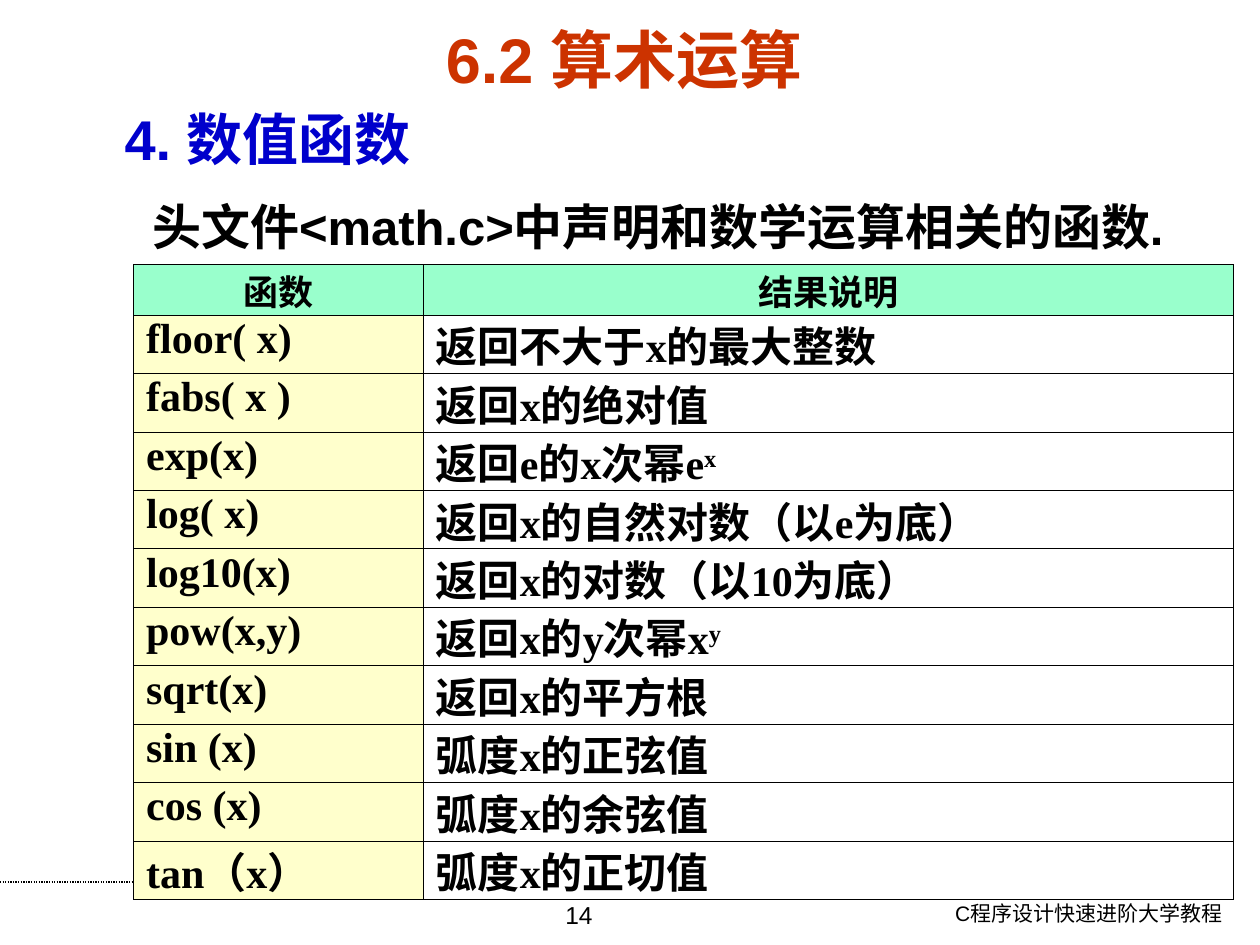
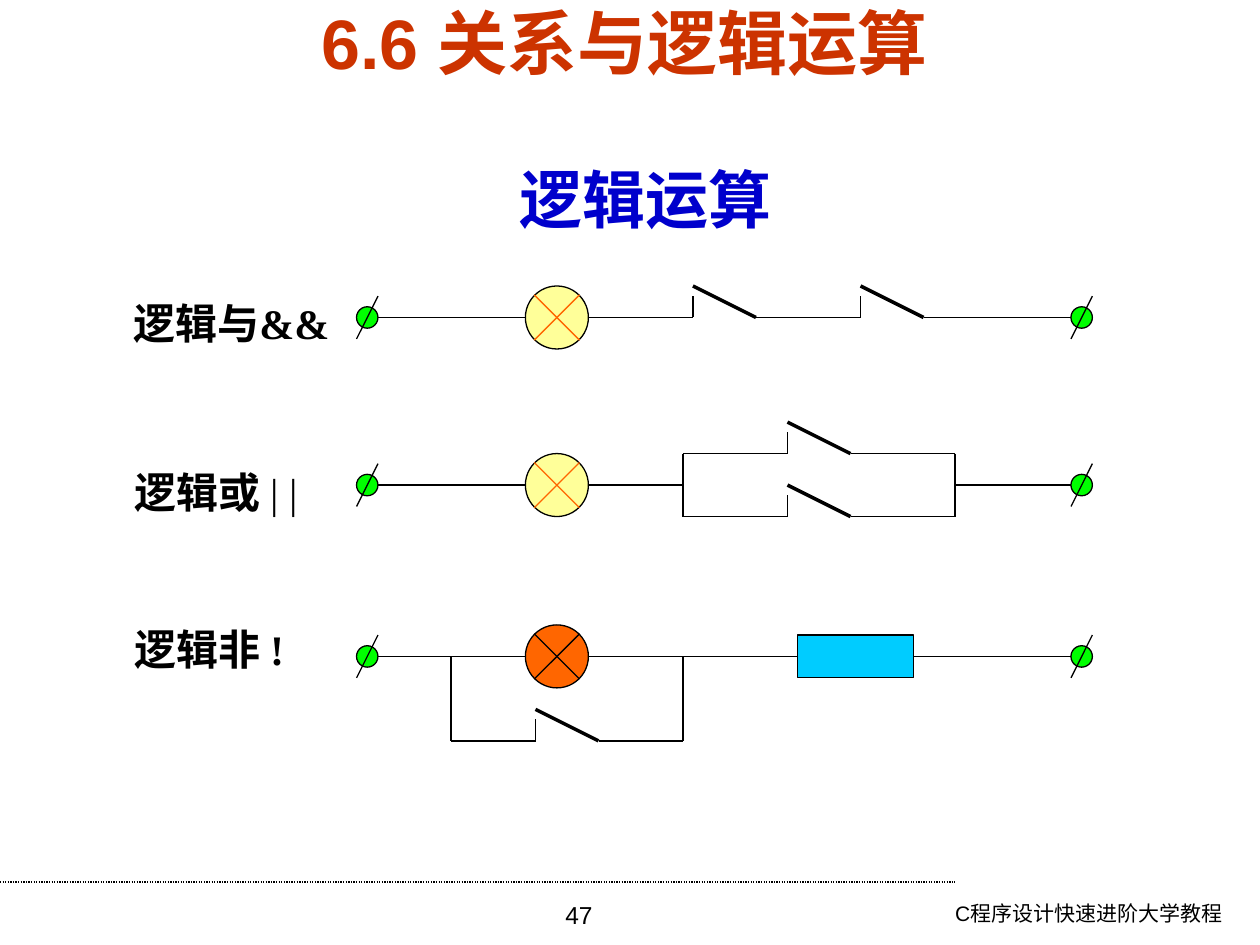
from dataclasses import dataclass

from lxml import etree
from pptx import Presentation
from pptx.dml.color import RGBColor
from pptx.enum.dml import MSO_LINE
from pptx.enum.shapes import MSO_CONNECTOR, MSO_SHAPE
from pptx.enum.text import MSO_ANCHOR, MSO_AUTO_SIZE, PP_ALIGN
from pptx.oxml.ns import qn
from pptx.util import Inches, Pt

STRAIGHT = MSO_CONNECTOR.STRAIGHT
OVAL, RECT = MSO_SHAPE.OVAL, MSO_SHAPE.RECTANGLE
TOP, MIDDLE, BOTTOM = MSO_ANCHOR.TOP, MSO_ANCHOR.MIDDLE, MSO_ANCHOR.BOTTOM
LEFT, CENTER, RIGHT = PP_ALIGN.LEFT, PP_ALIGN.CENTER, PP_ALIGN.RIGHT
SIDE_LEFT, SIDE_RIGHT = 1, 3


@dataclass(frozen=True)
class Theme:
    sans: str = "Arial"
    serif: str = "Times New Roman"
    title: str = "CC3300"
    heading: str = "0000CC"
    ink: str = "000000"
    paper: str = "FFFFFF"
    header_fill: str = "99FFCC"
    name_fill: str = "FFFFCC"
    lamp_off: str = "FFFF99"
    orange: str = "FF6600"
    terminal: str = "00FF00"
    resistor: str = "00CCFF"
    footer_pt: int = 12
    number_pt: int = 14
    header_pt: int = 20
    body_pt: int = 24
    lead_pt: int = 28
    heading_pt: int = 32
    title_pt: int = 36
    big_title_pt: int = 40
    thin: float = 0.75
    thick: float = 2
    border: float = 0.4


THEME = Theme()


@dataclass(frozen=True)
class Box:
    x: float
    y: float
    w: float
    h: float

    def emu(self) -> tuple:
        return tuple(Inches(v) for v in (self.x, self.y, self.w, self.h))


@dataclass(frozen=True)
class Style:
    size: int
    color: str = THEME.ink
    font: str = THEME.sans
    bold: bool = True
    align: PP_ALIGN = LEFT


@dataclass(frozen=True)
class Circuit:
    """A lamp circuit; wires and switches are placed relative to its axis y."""
    label: str
    label_box: Box
    y: float
    lamp_fill: str
    cross_color: str
    switches: tuple
    wires: tuple
    plain_tail: str = ""


FUNCTIONS = (
    ("floor( x)", "返回不大于x的最大整数", ""),
    ("fabs( x )", "返回x的绝对值", ""),
    ("exp(x)", "返回e的x次幂e", "x"),
    ("log( x)", "返回x的自然对数（以e为底）", ""),
    ("log10(x)", "返回x的对数（以10为底）", ""),
    ("pow(x,y)", "返回x的y次幂x", "y"),
    ("sqrt(x)", "返回x的平方根", ""),
    ("sin (x)", "弧度x的正弦值", ""),
    ("cos (x)", "弧度x的余弦值", ""),
    ("tan（x）", "弧度x的正切值", ""),
)

TERMINAL_XS, TERMINAL_D = (2.83, 8.5), 0.17
LAMP_X, LAMP_D = 4.17, 0.5
SWITCH_W, SWITCH_H = 0.5, 0.25
RESISTOR = Box(6.33, 5.04, 0.92, 0.34)

# Switches are (x, dy); wires are (x1, dy1, x2, dy2).
CIRCUITS = (
    Circuit("逻辑与&&", Box(0.96, 2.31, 1.95, 0.5), 2.52,
            THEME.lamp_off, THEME.orange,
            switches=((5.5, 0), (6.83, 0)),
            wires=((4.67, 0, 5.5, 0), (6, 0, 6.83, 0), (7.33, 0, 8.5, 0))),
    Circuit("逻辑或 ", Box(0.97, 3.65, 1.57, 0.5), 3.85,
            THEME.lamp_off, THEME.orange,
            switches=((6.25, -0.25), (6.25, 0.25)),
            wires=((4.67, 0, 5.42, 0), (7.58, 0, 8.5, 0),
                   (5.42, -0.25, 6.25, -0.25), (6.75, -0.25, 7.58, -0.25),
                   (5.42, 0.25, 6.25, 0.25), (6.75, 0.25, 7.58, 0.25),
                   (5.42, -0.25, 5.42, 0.25), (7.58, -0.25, 7.58, 0.25)),
            plain_tail="| |"),
    Circuit("逻辑非 !", Box(0.97, 4.9, 1.46, 0.5), 5.21,
            THEME.orange, THEME.ink,
            switches=((4.25, 0.67),),
            wires=((3.58, 0.67, 4.25, 0.67), (4.75, 0.67, 5.42, 0.67),
                   (3.58, 0, 3.58, 0.67), (5.42, 0, 5.42, 0.67))),
)


def rgb(color: str) -> RGBColor:
    return RGBColor.from_string(color)


def style_paragraph(p, style: Style) -> None:
    p.alignment = style.align
    f = p.font
    f.name, f.size, f.bold = style.font, Pt(style.size), style.bold
    f.color.rgb = rgb(style.color)


def add_run(p, text: str):
    r = p.add_run()
    r.text = text
    return r


def add_text(slide, box: Box, text: str, style: Style, anchor=TOP, wrap: bool = True):
    tf = slide.shapes.add_textbox(*box.emu()).text_frame
    tf.word_wrap, tf.vertical_anchor = wrap, anchor
    tf.auto_size = MSO_AUTO_SIZE.NONE if wrap else MSO_AUTO_SIZE.SHAPE_TO_FIT_TEXT
    p = tf.paragraphs[0]
    add_run(p, text)
    style_paragraph(p, style)
    return tf


def add_line(slide, x1: float, y1: float, x2: float, y2: float,
             color: str = THEME.ink, width: float = THEME.thin):
    cx = slide.shapes.add_connector(
        STRAIGHT, Inches(x1), Inches(y1), Inches(x2), Inches(y2))
    cx.line.color.rgb = rgb(color)
    cx.line.width = Pt(width)
    etree.SubElement(cx._element.spPr, qn("a:effectLst"))
    return cx


def add_preset(slide, kind: MSO_SHAPE, box: Box, fill: str):
    sp = slide.shapes.add_shape(kind, *box.emu())
    sp.shadow.inherit = False
    sp.fill.solid()
    sp.fill.fore_color.rgb = rgb(fill)
    sp.line.color.rgb = rgb(THEME.ink)
    sp.line.width = Pt(THEME.thin)
    return sp


def start_slide(prs, title: str, title_size: int, title_anchor, number: int):
    """Add a blank slide with the shared rule, footer, number and title."""
    slide = prs.slides.add_slide(prs.slide_layouts[6])
    add_line(slide, 0, 7, 7.58, 7).line.dash_style = MSO_LINE.ROUND_DOT
    add_text(slide, Box(6.57, 7.1, 3.23, 0.39), "C程序设计快速进阶大学教程",
             Style(THEME.footer_pt, bold=False, align=RIGHT))
    add_text(slide, Box(3.43, 7.09, 2.33, 0.41), str(number),
             Style(THEME.number_pt, bold=False, align=CENTER))
    add_text(slide, Box(0.43, 0.21, 9.05, 0.5), title,
             Style(title_size, THEME.title, align=CENTER), title_anchor)
    return slide


def set_indent(p, inches: float) -> None:
    p._p.get_or_add_pPr().set("marL", str(Inches(inches)))


def border_cell(cell) -> None:
    tc_pr = cell._tc.get_or_add_tcPr()
    for i, side in enumerate(("lnL", "lnR", "lnT", "lnB")):
        ln = etree.Element(qn(f"a:{side}"), w=str(Pt(THEME.border)))
        fill = etree.SubElement(ln, qn("a:solidFill"))
        etree.SubElement(fill, qn("a:srgbClr"), val=THEME.ink)
        tc_pr.insert(i, ln)


def fill_cell(cell, text: str, fill: str, style: Style, power: str = "") -> None:
    p = cell.text_frame.paragraphs[0]
    add_run(p, text)
    if power:
        add_run(p, power)._r.get_or_add_rPr().set("baseline", "30000")
    p.line_spacing = 0.8
    style_paragraph(p, style)
    cell.margin_left = cell.margin_right = Inches(0.1)
    cell.margin_top, cell.margin_bottom = Inches(0.07), 0
    cell.fill.solid()
    cell.fill.fore_color.rgb = rgb(fill)
    border_cell(cell)


def add_function_table(slide) -> None:
    box, header_h = Box(1.06, 2.1, 8.73, 5.04), 0.4
    table = slide.shapes.add_table(len(FUNCTIONS) + 1, 2, *box.emu()).table
    for column, width in zip(table.columns, (2.3, 6.43)):
        column.width = Inches(width)
    row_h = (box.h - header_h) / len(FUNCTIONS)
    for i, row in enumerate(table.rows):
        row.height = Inches(row_h if i else header_h)

    header = Style(THEME.header_pt, font=THEME.serif, align=CENTER)
    body = Style(THEME.body_pt, font=THEME.serif)
    for j, text in enumerate(("函数", "结果说明")):
        fill_cell(table.cell(0, j), text, THEME.header_fill, header)
    for i, (name, result, power) in enumerate(FUNCTIONS, 1):
        fill_cell(table.cell(i, 0), name, THEME.name_fill, body)
        fill_cell(table.cell(i, 1), result, THEME.paper, body, power)


def add_terminal(slide, x: float, y: float) -> None:
    d = TERMINAL_D
    add_preset(slide, OVAL, Box(x, y - d / 2, d, d), THEME.terminal)
    add_line(slide, x + d, y - d, x, y + d)


def add_lamp(slide, y: float, fill: str, cross: str) -> None:
    add_preset(slide, OVAL, Box(LAMP_X, y - LAMP_D / 2, LAMP_D, LAMP_D), fill)
    mid, arm = LAMP_X + LAMP_D / 2, 0.18
    for dy in (arm, -arm):
        add_line(slide, mid - arm, y - dy, mid + arm, y + dy, cross)


def add_switch(slide, x: float, y: float) -> None:
    add_line(slide, x, y - 0.17, x, y)
    add_line(slide, x, y - SWITCH_H, x + SWITCH_W, y, width=THEME.thick)


def add_circuit(slide, c: Circuit) -> None:
    tf = add_text(slide, c.label_box, c.label,
                  Style(THEME.body_pt, font=THEME.serif), MIDDLE, wrap=False)
    if c.plain_tail:
        add_run(tf.paragraphs[0], c.plain_tail).font.bold = False
    add_line(slide, TERMINAL_XS[0] + TERMINAL_D, c.y, LAMP_X, c.y)
    for x1, dy1, x2, dy2 in c.wires:
        add_line(slide, x1, c.y + dy1, x2, c.y + dy2)
    for x, dy in c.switches:
        add_switch(slide, x, c.y + dy)
    add_lamp(slide, c.y, c.lamp_fill, c.cross_color)
    for x in TERMINAL_XS:
        add_terminal(slide, x, c.y)


def add_resistor(slide, y: float) -> None:
    """Add the resistor and the wires joining it to lamp and terminal."""
    sp = add_preset(slide, RECT, RESISTOR, THEME.resistor)
    add_line(slide, LAMP_X + LAMP_D, y, RESISTOR.x, y).end_connect(sp, SIDE_LEFT)
    add_line(slide, RESISTOR.x + RESISTOR.w, y, TERMINAL_XS[1], y).begin_connect(
        sp, SIDE_RIGHT)


def build_functions_slide(prs) -> None:
    slide = start_slide(prs, "6.2 算术运算", THEME.title_pt, MIDDLE, 14)
    tf = add_text(slide, Box(0.67, 0.43, 9.33, 2.29), "4. 数值函数",
                  Style(THEME.heading_pt, THEME.heading))
    lead = tf.add_paragraph()
    add_run(lead, "头文件<math.c>中声明和数学运算相关的函数.")
    style_paragraph(lead, Style(THEME.lead_pt))
    for p, indent, height in zip(tf.paragraphs, (0.22, 0.44), (63.5, 48)):
        set_indent(p, indent)
        p.line_spacing = Pt(height)
    add_function_table(slide)


def build_logic_slide(prs) -> None:
    slide = start_slide(prs, "6.6 关系与逻辑运算", THEME.big_title_pt, BOTTOM, 47)
    add_text(slide, Box(0.62, 1.23, 9, 0.69), "逻辑运算",
             Style(THEME.title_pt, THEME.heading, align=CENTER), MIDDLE)
    for circuit in CIRCUITS:
        add_circuit(slide, circuit)
    add_resistor(slide, CIRCUITS[-1].y)


def main() -> None:
    prs = Presentation()
    prs.slide_width, prs.slide_height = Inches(10), Inches(7.5)
    build_functions_slide(prs)
    build_logic_slide(prs)
    prs.save("out.pptx")


if __name__ == "__main__":
    main()
